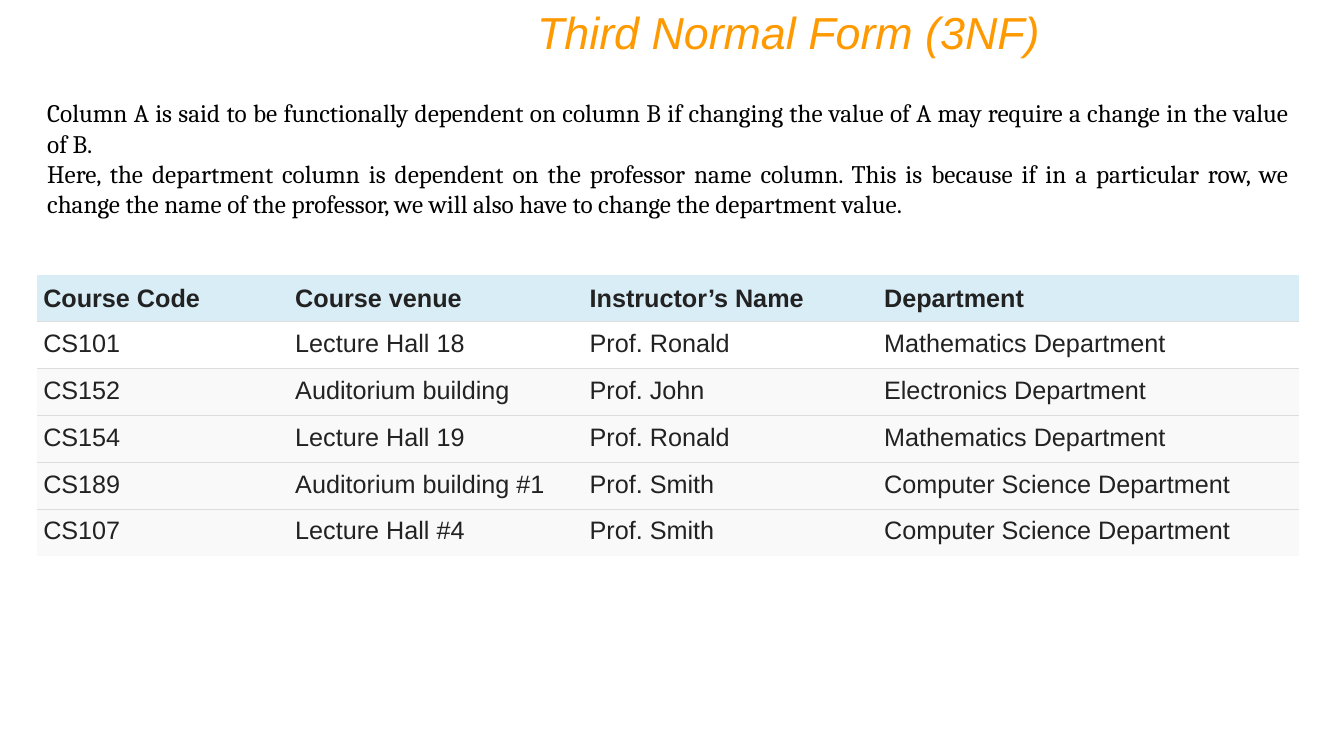
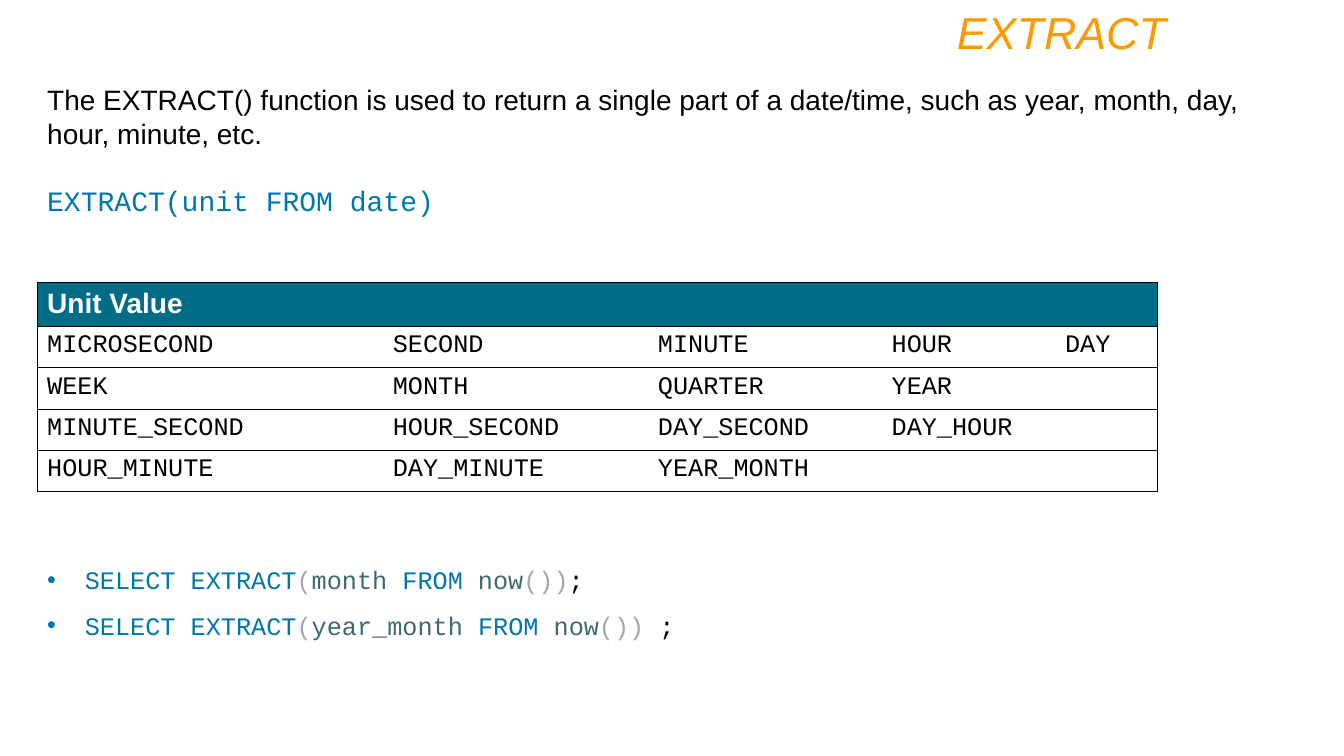
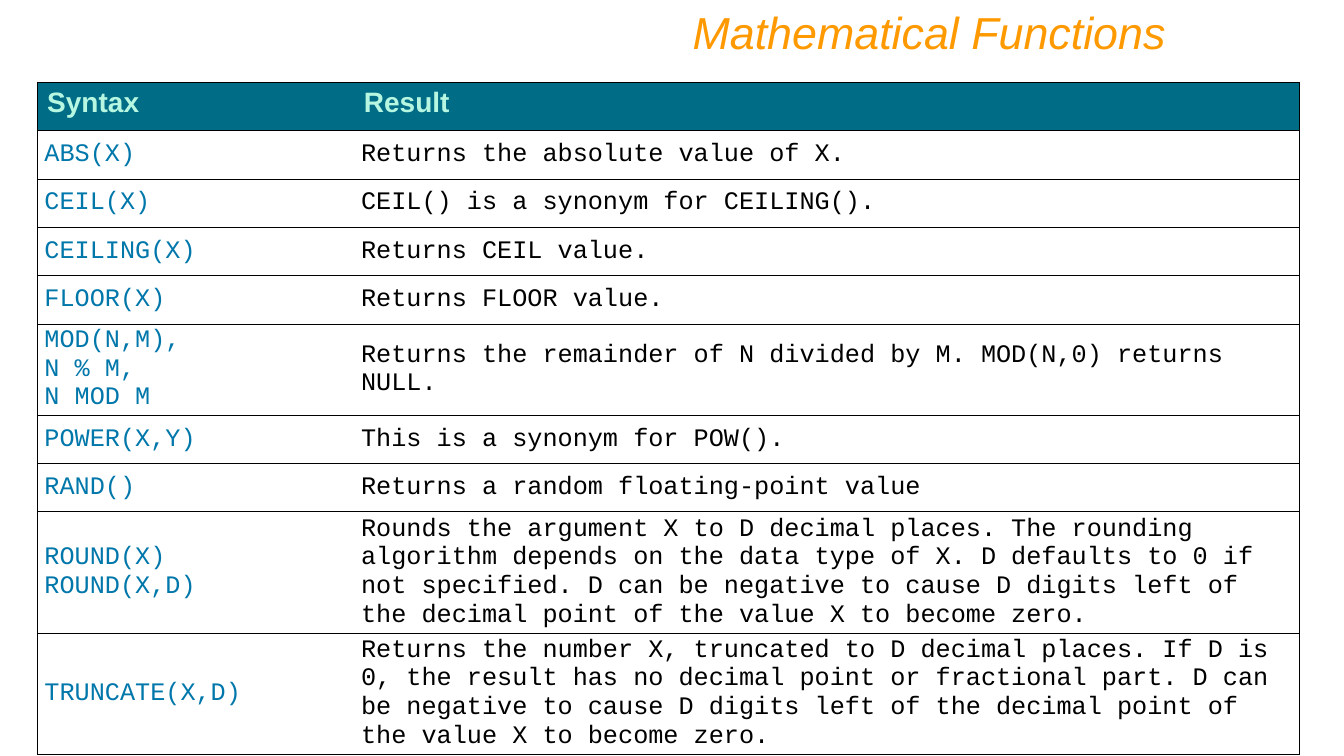
from dataclasses import dataclass, replace
from lxml import etree
from pptx import Presentation
from pptx import util as u
from pptx.dml import color
from pptx.enum import text
from pptx.oxml import ns

Cm = u.Cm


@dataclass(frozen=True)
class Style:
    font: str
    size: int
    ink: str
    bold: bool = False
    italic: bool = False


@dataclass(frozen=True)
class Box:
    left: float
    top: float
    width: float
    height: float


@dataclass(frozen=True)
class Look:
    edge: str
    framed: bool
    fills: tuple
    head_insets: tuple
    body_insets: tuple
    head_anchor: text.MSO_ANCHOR
    body_anchor: text.MSO_ANCHOR


class Theme:
    black, teal, blue, slate, gray = "000000", "006C86", "0077AA", "3F6971", "A6A6A6"
    title = Style("Arial", 32, "FF9900", italic=True)
    serif = Style("Cambria", 18, black)
    intro = Style("Arial", 20, black)
    syntax = Style("Courier New", 20, blue)
    code = Style("Courier New", 18, black)
    keyword = replace(code, ink=blue)
    argument = replace(code, ink=slate)
    bracket = replace(code, ink=gray)
    course = Style("Arial", 18, "222222")
    course_head = replace(course, bold=True)
    unit_head = Style("Arial", 20, "FFFFFF", bold=True)
    function_head = replace(unit_head, ink="B7F7E2")
    left, wide, rule = 0.94, 31.8, 0.75
    roomy = (0.25, 0.13)
    courses = Look("DDDDDD", False, ("D9EDF7", "FFFFFF", "F9F9F9"), (0.15, 0.2),
                   (0.15, 0.2), text.MSO_ANCHOR.MIDDLE, text.MSO_ANCHOR.TOP)
    units = Look(black, True, (teal, None), roomy, roomy,
                 text.MSO_ANCHOR.TOP, text.MSO_ANCHOR.TOP)
    functions = replace(units, body_insets=(0.18, 0), body_anchor=text.MSO_ANCHOR.MIDDLE)


def add_runs(paragraph, runs):
    for words, style in runs:
        run = paragraph.add_run()
        run.text = words
        font = run.font
        font.name, font.size = style.font, u.Pt(style.size)
        font.bold, font.italic = style.bold, style.italic
        font.color.rgb = color.RGBColor.from_string(style.ink)


def add_paragraphs(frame, paragraphs, align=None):
    for index, runs in enumerate(paragraphs):
        paragraph = frame.add_paragraph() if index else frame.paragraphs[0]
        paragraph.alignment = align
        add_runs(paragraph, runs)


def add_text(slide, box, paragraphs, align=text.PP_ALIGN.LEFT):
    frame = slide.shapes.add_textbox(
        Cm(box.left), Cm(box.top), Cm(box.width), Cm(box.height)).text_frame
    frame.word_wrap = True
    frame.auto_size = text.MSO_AUTO_SIZE.SHAPE_TO_FIT_TEXT
    add_paragraphs(frame, paragraphs, align)
    return frame


def add_title(slide, words, box=Box(4.24, 0, 25.4, 1.63)):
    add_text(slide, box, [[(words, Theme.title)]], text.PP_ALIGN.RIGHT)


def add_queries(slide, box, queries):
    frame = add_text(slide, box, queries)
    for paragraph in frame.paragraphs:
        paragraph.line_spacing = 1.5
        properties = paragraph._p.get_or_add_pPr()
        properties.set("marL", str(Cm(0.95)))
        properties.set("indent", str(-Cm(0.95)))
        etree.SubElement(properties, ns.qn("a:buFont"), typeface="Arial")
        etree.SubElement(properties, ns.qn("a:buChar"), char="•")


def draw_edges(cell, sides, ink):
    properties = cell._tc.get_or_add_tcPr()
    for side in "LRTB":
        line = etree.SubElement(properties, ns.qn(f"a:ln{side}"), w=str(u.Pt(Theme.rule)))
        if side in sides:
            fill = etree.SubElement(line, ns.qn("a:solidFill"))
            etree.SubElement(fill, ns.qn("a:srgbClr"), val=ink)
        else:
            etree.SubElement(line, ns.qn("a:noFill"))


def add_grid(slide, left, top, widths, heights, rows, look, span_head=False):
    frame = slide.shapes.add_table(len(rows), len(widths), Cm(left), Cm(top),
                                   Cm(sum(widths)), Cm(sum(heights)))
    for style_id in frame.element.iter(ns.qn("a:tableStyleId")):
        style_id.text = "{2D5ABB26-0587-4C30-8999-92F81FD0307C}"
    grid = frame.table
    grid.first_row = grid.horz_banding = False
    for column, width in zip(grid.columns, widths):
        column.width = Cm(width)
    for row, height in zip(grid.rows, heights):
        row.height = Cm(height)
    last_row, last_column = len(rows) - 1, len(widths) - 1
    for r, row in enumerate(rows):
        fill = look.fills[min(r, len(look.fills) - 1)]
        insets = look.body_insets if r else look.head_insets
        for c in range(len(widths)):
            cell = grid.cell(r, c)
            cell.margin_left = cell.margin_right = Cm(insets[0])
            cell.margin_top = cell.margin_bottom = Cm(insets[1])
            cell.vertical_anchor = look.body_anchor if r else look.head_anchor
            spanning = span_head and r == 0
            edges = {"T": look.framed or r > 0,
                     "B": look.framed or r < last_row,
                     "L": look.framed and c == 0,
                     "R": look.framed and (c == last_column or spanning)}
            draw_edges(cell, [side for side, shown in edges.items() if shown], look.edge)
            if fill:
                cell.fill.solid()
                cell.fill.fore_color.rgb = color.RGBColor.from_string(fill)
            else:
                cell.fill.background()
            if c < len(row):
                words, style = row[c]
                add_paragraphs(cell.text_frame,
                               [[(line, style)] for line in words.split("\n")])
    if span_head:
        grid.cell(0, 0).merge(grid.cell(0, last_column))


def styled_rows(head, head_style, body, body_styles):
    return [[(words, head_style) for words in head]] + [
        list(zip(row, body_styles)) for row in body]


def third_normal_form(slide):
    add_title(slide, "Third Normal Form (3NF)", Box(7.42, 0, 19.05, 1.63))
    explanation = (
        "Column A is said to be functionally dependent on column B if changing the value "
        "of A may require a change in the value of B.",
        "Here, the department column is dependent on the professor name column. This is "
        "because if in a particular row, we change the name of the professor, we will also "
        "have to change the department value.")
    add_text(slide, Box(Theme.left, 2.34, Theme.wide, 3.33),
             [[(words, Theme.serif)] for words in explanation], text.PP_ALIGN.JUSTIFY)
    head = ("Course Code", "Course venue", "Instructor’s Name", "Department")
    courses = (
        ("CS101", "Lecture Hall 18", "Prof. Ronald", "Mathematics Department"),
        ("CS152", "Auditorium building", "Prof. John", "Electronics Department"),
        ("CS154", "Lecture Hall 19", "Prof. Ronald", "Mathematics Department"),
        ("CS189", "Auditorium building #1", "Prof. Smith", "Computer Science Department"),
        ("CS107", "Lecture Hall #4", "Prof. Smith", "Computer Science Department"))
    add_grid(slide, Theme.left, 6.93, (6.35, 7.42, 7.42, 10.6), [1.18] * 6,
             styled_rows(head, Theme.course_head, courses, [Theme.course] * 4),
             Theme.courses)


def extract_query(unit, ending):
    return [("SELECT EXTRACT", Theme.keyword), ("(", Theme.bracket),
            (f"{unit} ", Theme.argument), ("FROM ", Theme.keyword),
            ("now", Theme.argument), ("())", Theme.bracket), (ending, Theme.code)]


def extract_function(slide):
    add_title(slide, "EXTRACT")
    add_text(slide, Box(Theme.left, 1.96, 32, 1.96), [[(
        "The EXTRACT() function is used to return a single part of a date/time, such as "
        "year, month, day, hour, minute, etc.", Theme.intro)]])
    add_text(slide, Box(Theme.left, 4.5, 11, 1.11),
             [[("EXTRACT(unit FROM date)", Theme.syntax)]])
    units = (("MICROSECOND", "SECOND", "MINUTE", "HOUR", "DAY"),
             ("WEEK", "MONTH", "QUARTER", "YEAR"),
             ("MINUTE_SECOND", "HOUR_SECOND", "DAY_SECOND", "DAY_HOUR"),
             ("HOUR_MINUTE", "DAY_MINUTE", "YEAR_MONTH"))
    add_grid(slide, Theme.left, 7.12, (8.71, 6.68, 5.89, 4.37, 2.57), [1.11] + [1.04] * 4,
             styled_rows(["Unit Value"], Theme.unit_head, units, [Theme.code] * 5),
             Theme.units, span_head=True)
    add_queries(slide, Box(Theme.left, 13.72, 23.5, 2.41),
                [extract_query("month", ";"), extract_query("year_month", " ;")])


def mathematical_functions(slide):
    add_title(slide, "Mathematical Functions")
    functions = (
        ("ABS(X)", "Returns the absolute value of X."),
        ("CEIL(X)", "CEIL() is a synonym for CEILING()."),
        ("CEILING(X)", "Returns CEIL value."),
        ("FLOOR(X)", "Returns FLOOR value."),
        ("MOD(N,M),\nN % M,\nN MOD M",
         "Returns the remainder of N divided by M. MOD(N,0) returns NULL."),
        ("POWER(X,Y)", "This is a synonym for POW()."),
        ("RAND()", "Returns a random floating-point value"),
        ("ROUND(X)\nROUND(X,D)",
         "Rounds the argument X to D decimal places. The rounding algorithm depends on the "
         "data type of X. D defaults to 0 if not specified. D can be negative to cause D "
         "digits left of the decimal point of the value X to become zero."),
        ("TRUNCATE(X,D)",
         "Returns the number X, truncated to D decimal places. If D is 0, the result has no "
         "decimal point or fractional part. D can be negative to cause D digits left of the "
         "decimal point of the value X to become zero."))
    heights = [1.22] * 5 + [2.29] + [1.22] * 2 + [3.05] * 2
    add_grid(slide, Theme.left, 2.07, (7.98, 23.83), heights,
             styled_rows(("Syntax", "Result"), Theme.function_head, functions,
                         (Theme.keyword, Theme.code)), Theme.functions)


def main():
    deck = Presentation()
    deck.slide_width, deck.slide_height = Cm(33.87), Cm(19.05)
    for build in (third_normal_form, extract_function, mathematical_functions):
        build(deck.slides.add_slide(deck.slide_layouts[6]))
    deck.save("out.pptx")


if __name__ == "__main__":
    main()
